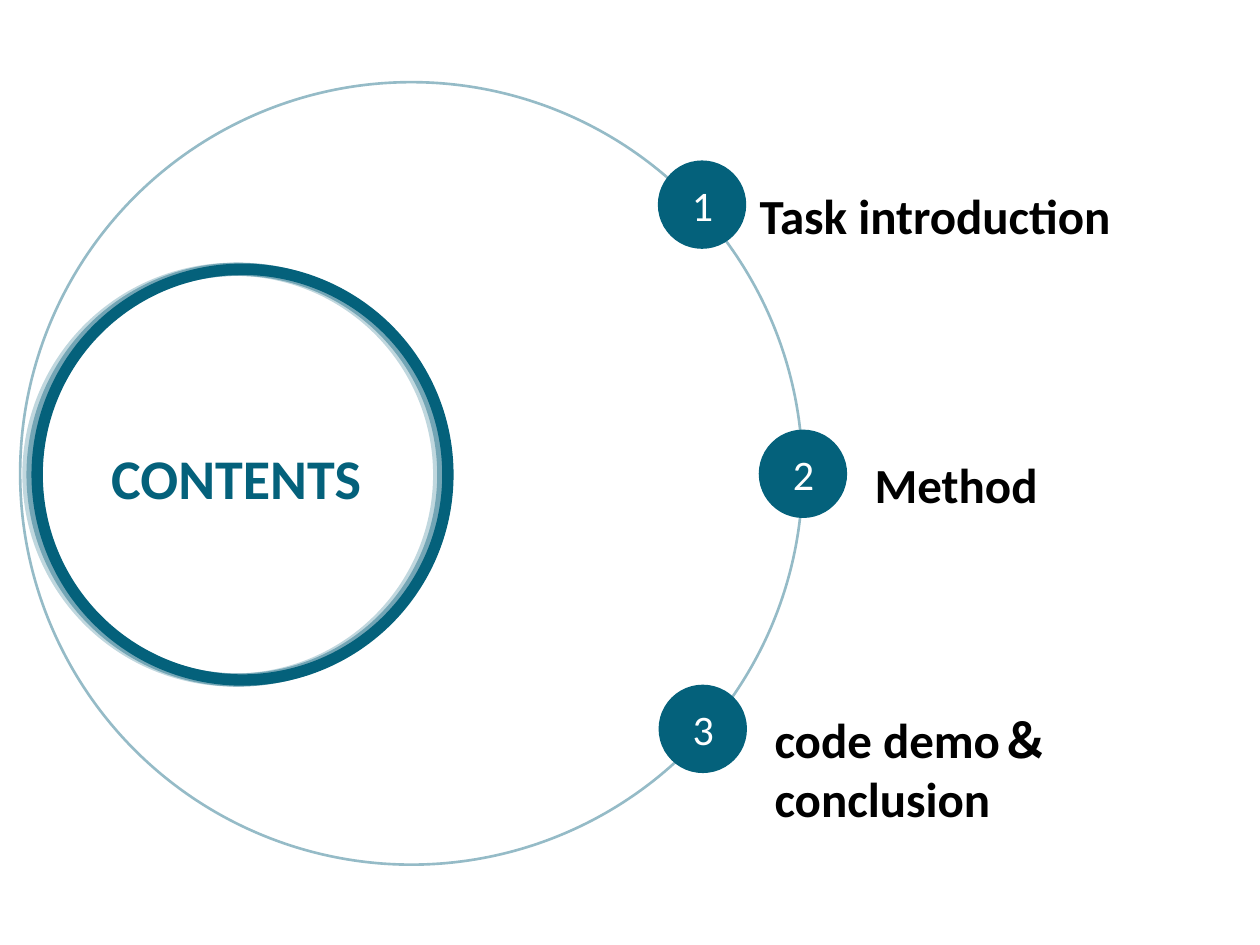
import pptx
import pptx.dml.color
import pptx.enum.shapes
import pptx.enum.text
import pptx.util

SLIDE_W, SLIDE_H = 10, 7.5
TEAL, PALE, BLACK, WHITE = "04617B", "95BBC7", "000000", "FFFFFF"
FONT = "Calibri"

# Disc's left and top in hundredths of the ring, label's left in discs, label width, text
ITEMS = [
    (81.5, 10, 1.01, 2.99, "Task introduction"),
    (94.4, 44.4, 1.17, 1.49, "Method"),
    (81.6, 77, 1.17, 3.95, "code demo＆conclusion"),
]


def rgb(color):
    return pptx.dml.color.RGBColor.from_string(color)


def inches(*lengths):
    return [pptx.util.Inches(v) for v in lengths]


def add_circle(shapes, left, top, size, fill=None, line=None, weight=0):
    s = shapes.add_shape(pptx.enum.shapes.MSO_SHAPE.OVAL, *inches(left, top, size, size))
    s.shadow.inherit = False
    if fill:
        s.fill.solid()
        s.fill.fore_color.rgb = rgb(fill)
    else:
        s.fill.background()
    if line:
        s.line.color.rgb = rgb(line)
        s.line.width = pptx.util.Pt(weight)
    else:
        s.line.fill.background()


def add_text(shapes, box, text, size, color, bold=True, wrap=False, centered=False):
    tf = shapes.add_textbox(*inches(*box)).text_frame
    tf.word_wrap = wrap
    tf.auto_size = pptx.enum.text.MSO_AUTO_SIZE.SHAPE_TO_FIT_TEXT
    p = tf.paragraphs[0]
    if centered:
        p.alignment = pptx.enum.text.PP_ALIGN.CENTER
    r = p.add_run()
    r.text = text
    r.font.name = FONT
    r.font.size = pptx.util.Pt(size)
    r.font.bold = bold
    r.font.color.rgb = rgb(color)


def add_title_rings(shapes, left, top, size):
    """Three rings, each a little further right than the one behind it."""
    group = shapes.add_group_shape()
    step = size / 100
    for shift, color, weight in [(0, "C0D7DE", 7.5), (1, "73A5B5", 7.5), (2, TEAL, 6.5)]:
        add_circle(group.shapes, left + shift * step, top, size, line=color, weight=weight)


def add_title(shapes, left, top, size):
    add_text(shapes, (left + 0.17 * size, top + 0.41 * size, 0.68 * size, 0.2 * size),
             "CONTENTS", 32, TEAL)


def add_items(shapes, left, top, size):
    """Numbered discs along the ring that fills the given square, with labels."""
    unit = size / 100
    disc = 11.3 * unit
    for number, (col, row, gap, width, label) in enumerate(ITEMS, 1):
        x, y = left + col * unit, top + row * unit
        add_circle(shapes, x, y, disc, fill=TEAL)
        add_text(shapes, (x + 0.24 * disc, y + 0.14 * disc, 0.53 * disc, 0.72 * disc),
                 str(number), 24, WHITE, bold=False, centered=True)
        add_text(shapes, (x + gap * disc, y + 0.21 * disc, width, 0.81 * disc),
                 label, 28, BLACK, wrap=" " in label and "＆" in label)


def main():
    prs = pptx.Presentation()
    prs.slide_width, prs.slide_height = inches(SLIDE_W, SLIDE_H)
    shapes = prs.slides.add_slide(prs.slide_layouts[6]).shapes

    inner = (0.023 * SLIDE_W, 0.285 * SLIDE_H, 0.326 * SLIDE_W)
    outer = (0.016 * SLIDE_W, 0.087 * SLIDE_H, 0.621 * SLIDE_W)
    add_title_rings(shapes, *inner)
    add_circle(shapes, *outer, line=PALE, weight=1.5)
    add_title(shapes, *inner)
    add_items(shapes, *outer)
    prs.save("out.pptx")


if __name__ == "__main__":
    main()
